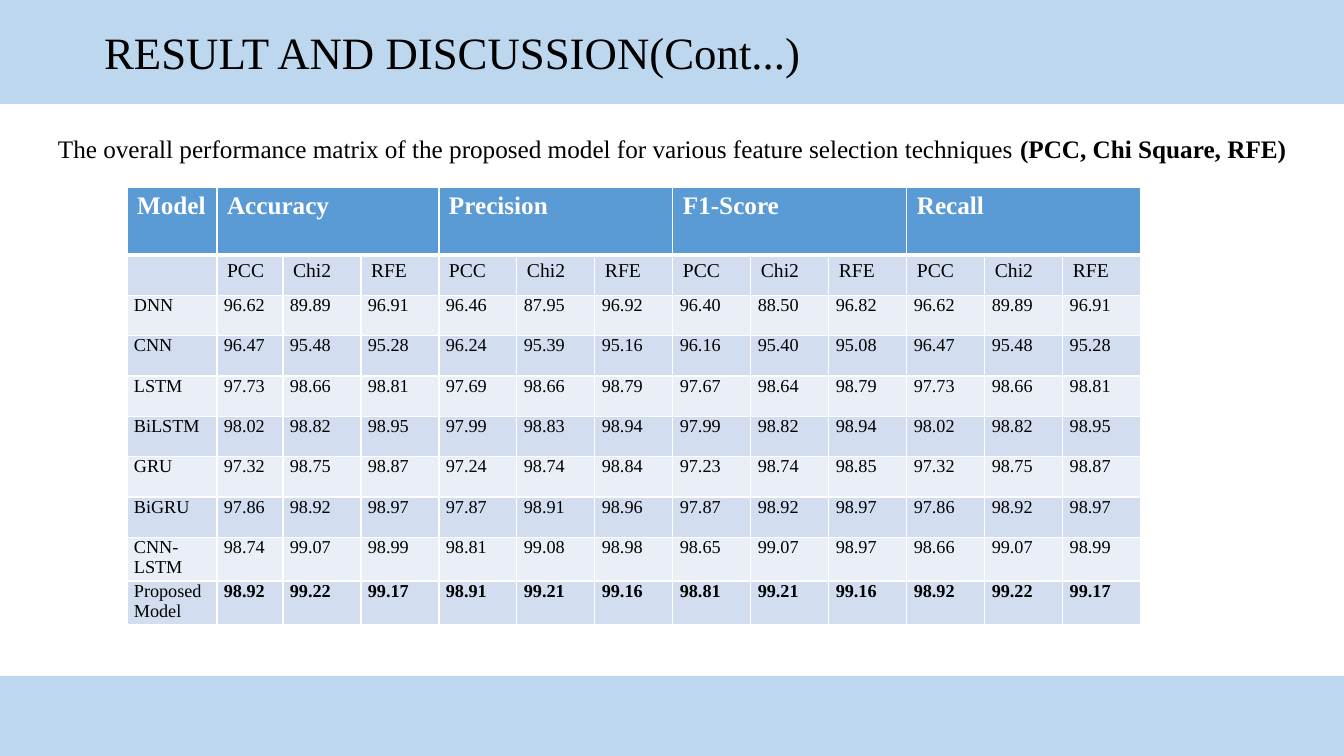
from lxml import etree
from pptx import Presentation
from pptx.dml.color import RGBColor
from pptx.enum.shapes import MSO_SHAPE
from pptx.enum.text import MSO_ANCHOR, MSO_AUTO_SIZE, PP_ALIGN
from pptx.oxml.ns import qn
from pptx.util import Emu, Pt

EMU_PER_PX = 12192000 / 1344
FONT = "Times New Roman"
BAND_BLUE, HEADER_BLUE = "BDD7EE", "5B9BD5"
ROW_DARK, ROW_LIGHT = "D2DEEF", "EAEFF7"
WHITE, BLACK = "FFFFFF", "000000"

METRICS = ["Accuracy", "Precision", "F1-Score", "Recall"]
SELECTORS = ["PCC", "Chi2", "RFE"]
PROPOSED = "Proposed Model"
SCORES = {
    "DNN": "96.62 89.89 96.91 96.46 87.95 96.92 96.40 88.50 96.82 96.62 89.89 96.91",
    "CNN": "96.47 95.48 95.28 96.24 95.39 95.16 96.16 95.40 95.08 96.47 95.48 95.28",
    "LSTM": "97.73 98.66 98.81 97.69 98.66 98.79 97.67 98.64 98.79 97.73 98.66 98.81",
    "BiLSTM": "98.02 98.82 98.95 97.99 98.83 98.94 97.99 98.82 98.94 98.02 98.82 98.95",
    "GRU": "97.32 98.75 98.87 97.24 98.74 98.84 97.23 98.74 98.85 97.32 98.75 98.87",
    "BiGRU": "97.86 98.92 98.97 97.87 98.91 98.96 97.87 98.92 98.97 97.86 98.92 98.97",
    "CNN-LSTM": "98.74 99.07 98.99 98.81 99.08 98.98 98.65 99.07 98.97 98.66 99.07 98.99",
    PROPOSED: "98.92 99.22 99.17 98.91 99.21 99.16 98.81 99.21 99.16 98.92 99.22 99.17",
}


def px(length):
    return Emu(round(length * EMU_PER_PX))


def rgb(hex_color):
    return RGBColor.from_string(hex_color)


def place(shape, left, top, width, height):
    shape.left, shape.top = px(left), px(top)
    shape.width, shape.height = px(width), px(height)


def paint(target, color):
    target.fill.solid()
    target.fill.fore_color.rgb = rgb(color)


def write(paragraph, text, size=18, bold=False, color=BLACK, align=None):
    """Append a formatted run to the paragraph."""
    run = paragraph.add_run()
    run.text = text
    run.font.name = FONT
    run.font.size = Pt(size)
    run.font.bold = bold
    run.font.color.rgb = rgb(color)
    if align is not None:
        paragraph.alignment = align


def add_title_band(slide):
    title = slide.shapes.title
    place(title, 0, 0, 1344, 104)
    paint(title, BAND_BLUE)
    frame = title.text_frame
    frame.auto_size = MSO_AUTO_SIZE.NONE
    frame.vertical_anchor = MSO_ANCHOR.MIDDLE
    heading = frame.paragraphs[0]
    write(heading, "RESULT AND DISCUSSION(Cont...)", size=32, align=PP_ALIGN.JUSTIFY)
    properties = heading._p.get_or_add_pPr()
    properties.set("marL", str(px(94)))
    properties.set("indent", "0")


def add_footer_band(slide):
    band = slide.shapes.add_shape(MSO_SHAPE.RECTANGLE, 0, px(676), px(1344), px(80))
    paint(band, BAND_BLUE)
    band.line.fill.background()
    band.shadow.inherit = False


def add_caption(slide):
    caption = slide.shapes.add_textbox(px(48), px(128), px(1261), px(521))
    caption.text_frame.word_wrap = True
    sentence = caption.text_frame.paragraphs[0]
    write(sentence, "The overall performance matrix of the proposed model "
                    "for various feature selection techniques ")
    write(sentence, "(PCC, Chi Square, RFE)", bold=True)


def set_borders(cell, top=1, bottom=1):
    """Draw white borders; top and bottom are widths in points."""
    properties = cell._tc.get_or_add_tcPr()
    for side, width in (("L", 1), ("R", 1), ("T", top), ("B", bottom)):
        line = etree.SubElement(properties, qn(f"a:ln{side}"), w=str(Pt(width)))
        solid = etree.SubElement(line, qn("a:solidFill"))
        etree.SubElement(solid, qn("a:srgbClr"), val=WHITE)


def fill_header(table):
    labels = {0: "Model"}
    for index, metric in enumerate(METRICS):
        first = 1 + index * len(SELECTORS)
        labels[first] = metric
        table.cell(0, first).merge(table.cell(0, first + len(SELECTORS) - 1))
    for column in range(len(table.columns)):
        cell = table.cell(0, column)
        set_borders(cell, bottom=3)
        paint(cell, HEADER_BLUE)
        if column in labels:
            write(cell.text_frame.paragraphs[0], labels[column], bold=True, color=WHITE)


def fill_selectors(table):
    for column, label in enumerate([""] + SELECTORS * len(METRICS)):
        cell = table.cell(1, column)
        set_borders(cell, top=3)
        paint(cell, ROW_DARK)
        if label:
            write(cell.text_frame.paragraphs[0], label, size=14)


def fill_scores(table):
    for row, (model, scores) in enumerate(SCORES.items(), start=2):
        for column, text in enumerate([model] + scores.split()):
            cell = table.cell(row, column)
            set_borders(cell)
            paint(cell, ROW_DARK if row % 2 else ROW_LIGHT)
            cell.margin_left = cell.margin_right = px(7)
            cell.margin_top = cell.margin_bottom = 0
            write(cell.text_frame.paragraphs[0], text, size=13,
                  bold=model == PROPOSED and column > 0, align=PP_ALIGN.JUSTIFY)


def add_score_table(slide):
    widths = [90, 66] + [78] * 11
    header_height, body_height = 68, 363
    body_rows = 1 + len(SCORES)
    table = slide.shapes.add_table(
        1 + body_rows, len(widths), px(127), px(187),
        px(sum(widths)), px(header_height + body_height)).table
    for column, width in zip(table.columns, widths):
        column.width = px(width)
    for row in table.rows:
        row.height = px(body_height / body_rows)
    table.rows[0].height = px(header_height)
    fill_header(table)
    fill_selectors(table)
    fill_scores(table)


def main():
    presentation = Presentation()
    presentation.slide_width, presentation.slide_height = px(1344), px(756)
    title_only = presentation.slide_layouts[5]
    slide = presentation.slides.add_slide(title_only)
    add_title_band(slide)
    add_footer_band(slide)
    add_caption(slide)
    add_score_table(slide)
    presentation.save("out.pptx")


if __name__ == "__main__":
    main()
